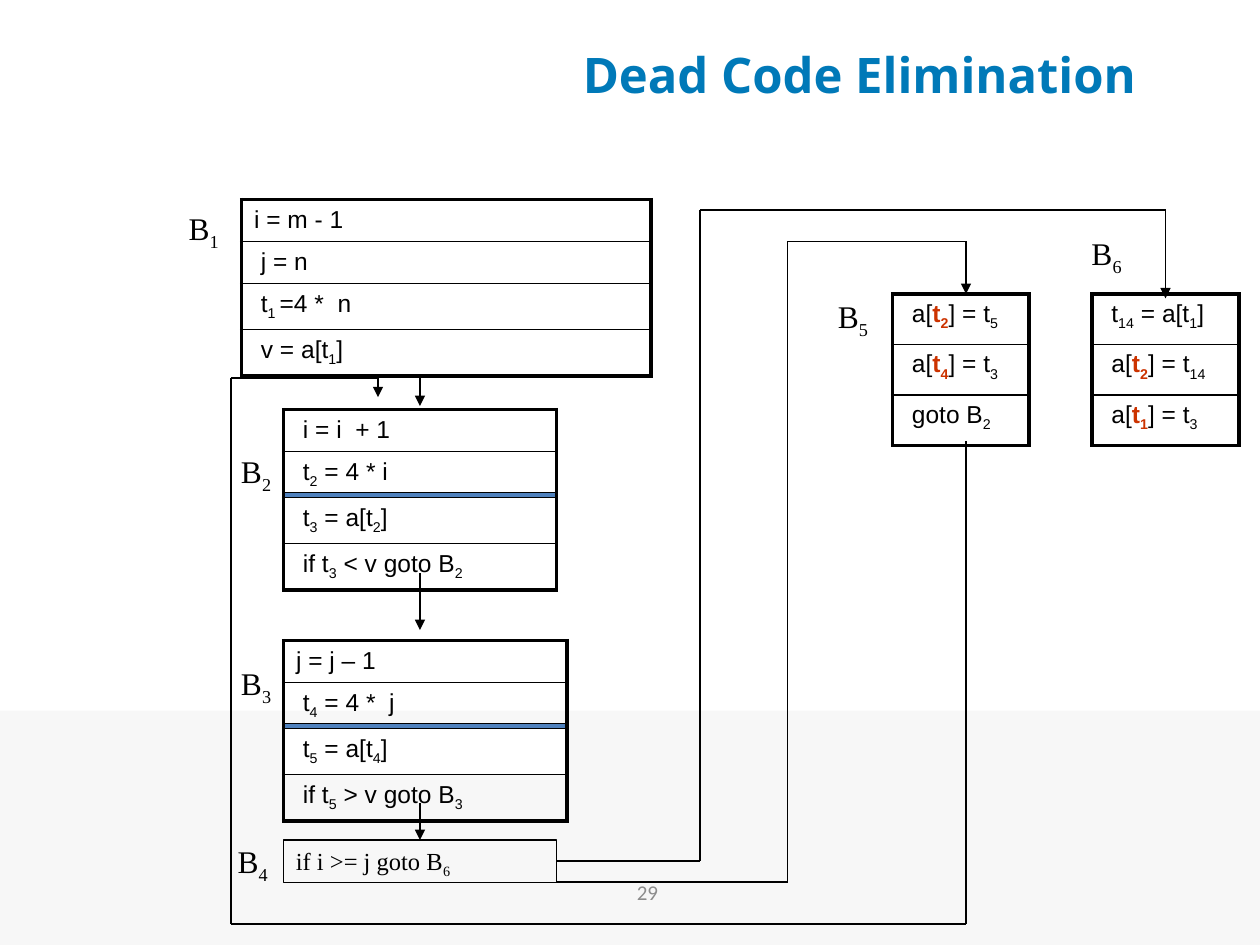
from dataclasses import dataclass
from typing import Optional

from lxml import etree
from pptx import Presentation
from pptx.dml.color import RGBColor
from pptx.enum.shapes import MSO_CONNECTOR, MSO_SHAPE
from pptx.enum.text import MSO_ANCHOR, PP_ALIGN
from pptx.oxml.ns import qn
from pptx.util import Pt

BLACK = RGBColor(0x00, 0x00, 0x00)
WHITE = RGBColor(0xFF, 0xFF, 0xFF)
BAND_GREY = RGBColor(0xF7, 0xF7, 0xF7)
NUMBER_GREY = RGBColor(0x8C, 0x8C, 0x8C)
TITLE_BLUE = RGBColor(0x00, 0x79, 0xB8)
ROW_BLUE = RGBColor(0x4F, 0x81, 0xBD)
DEAD_RED = RGBColor(0xCC, 0x33, 0x00)
RECTANGLE = MSO_SHAPE.RECTANGLE
STRAIGHT = MSO_CONNECTOR.STRAIGHT
LEFT, CENTER, RIGHT = PP_ALIGN.LEFT, PP_ALIGN.CENTER, PP_ALIGN.RIGHT
TOP, MIDDLE = MSO_ANCHOR.TOP, MSO_ANCHOR.MIDDLE
THICK, THIN, FLOW = 2.25, 1, 0.75


@dataclass
class Block:
    """Basic block; in the code, ~ encloses subscripts and ^ marked variables."""
    left: float
    top: float
    width: float
    heights: list[float]
    code: list[str]
    white_row: Optional[int] = None


@dataclass
class Label:
    number: int
    left: float
    top: float


@dataclass
class Route:
    points: list[tuple[float, float]]
    arrow: bool = True


BLOCKS = [
    Block(138, 114, 234, [23, 23, 25, 25],
          ["i = m - 1", " j = n", " t~1 ~=4 *  n", " v = a[t~1~]"]),
    Block(162, 234, 156, [23, 25, 25, 25],
          [" i = i  + 1", " t~2~ = 4 * i", " t~3~ = a[t~2~]",
           " if t~3~ < v goto B~2~"], white_row=2),
    Block(162, 366, 162, [23.8, 25, 25, 25],
          ["j = j – 1", " t~4~ = 4 *  j", " t~5~ = a[t~4~]",
           " if t~5~ > v goto B~3~"], white_row=2),
    Block(510, 168, 78, [28.8] * 3,
          [" a[^t~2~^] = t~5~", " a[^t~4~^] = t~3~", " goto B~2~"]),
    Block(624, 168, 84, [28.8] * 3,
          [" t~14~ = a[t~1~]", " a[^t~2~^] = t~14~", " a[^t~1~^] = t~3~"]),
]

LABELS = [
    Label(1, 72, 116), Label(2, 102, 255), Label(3, 102, 376),
    Label(4, 100, 477.5), Label(5, 443, 166), Label(6, 588, 130),
]

ROUTES = [
    Route([(240, 216), (240, 232)]),                                 # B1 to B2
    Route([(240, 327.6), (240, 360)]),                               # B2 to B3
    Route([(240, 458.6), (240, 480)]),                               # B3 to B4
    Route([(318, 492), (400, 492), (400, 120), (666, 120), (666, 170.5)]),  # B4 to B6
    Route([(318, 504), (450, 504), (450, 138), (552, 138), (552, 168)]),  # B4 to B5
    Route([(552, 252), (552, 528), (132, 528), (132, 216), (216, 216), (216, 227)]),
]


def write(frame, text: str, size: float, font: str, color: RGBColor = BLACK,
          align=LEFT, bold: bool = False) -> None:
    paragraph = frame.paragraphs[0]
    paragraph.alignment = align
    paragraph.font.size = Pt(size)
    paragraph.font.name = font
    paragraph.font.bold = bold
    paragraph.font.color.rgb = color
    for i, marked in enumerate(text.split("^")):
        for j, piece in enumerate(marked.split("~")):
            if not piece:
                continue
            run = paragraph.add_run()
            run.text = piece
            if i % 2:
                run.font.bold = True
                run.font.color.rgb = DEAD_RED
            if j % 2:
                run.font._element.set("baseline", "-25000")


def add_text(slide, box: tuple[float, float, float, float], text: str, size: float,
             font: str, color: RGBColor = BLACK, align=CENTER, anchor=MIDDLE,
             bold: bool = False) -> None:
    frame = slide.shapes.add_textbox(*map(Pt, box)).text_frame
    frame.word_wrap = True
    frame.vertical_anchor = anchor
    write(frame, text, size, font, color, align, bold)


def add_rect(slide, box: tuple[float, float, float, float],
             fill: Optional[RGBColor] = None, outlined: bool = True):
    rect = slide.shapes.add_shape(RECTANGLE, *map(Pt, box))
    rect.shadow.inherit = False
    if fill is None:
        rect.fill.background()
    else:
        rect.fill.solid()
        rect.fill.fore_color.rgb = fill
    if outlined:
        rect.line.color.rgb = BLACK
        rect.line.width = Pt(FLOW)
    else:
        rect.line.fill.background()
    return rect


def set_borders(cell, top: float, bottom: float) -> None:
    properties = cell._tc.get_or_add_tcPr()
    for side, width in (("L", THICK), ("R", THICK), ("T", top), ("B", bottom)):
        line = etree.SubElement(properties, qn(f"a:ln{side}"), w=str(Pt(width)))
        fill = etree.SubElement(line, qn("a:solidFill"))
        etree.SubElement(fill, qn("a:srgbClr"), val=str(BLACK))


def add_block(slide, block: Block) -> None:
    count = len(block.code)
    table = slide.shapes.add_table(count, 1, Pt(block.left), Pt(block.top),
                                   Pt(block.width), Pt(sum(block.heights))).table
    table.first_row = table.horz_banding = False
    for i, (height, code) in enumerate(zip(block.heights, block.code)):
        table.rows[i].height = Pt(height)
        cell = table.cell(i, 0)
        set_borders(cell, THICK if i == 0 else THIN,
                    THICK if i == count - 1 else THIN)
        if i == block.white_row:
            cell.fill.solid()
            cell.fill.fore_color.rgb = WHITE
        else:
            cell.fill.background()
        write(cell.text_frame, code, 14, "Arial")


def add_route(slide, route: Route) -> None:
    for start, end in zip(route.points, route.points[1:]):
        segment = slide.shapes.add_connector(STRAIGHT, *map(Pt, start + end))
        segment.line.color.rgb = BLACK
        segment.line.width = Pt(FLOW)
        etree.SubElement(segment._element.spPr, qn("a:effectLst"))
        if route.arrow and end == route.points[-1]:
            etree.SubElement(segment.line._get_or_add_ln(), qn("a:tailEnd"),
                             type="triangle")


def main() -> None:
    deck = Presentation()
    deck.slide_width, deck.slide_height = Pt(720), Pt(540)
    slide = deck.slides.add_slide(deck.slide_layouts[6])

    # Footer band, page number and title
    add_rect(slide, (0, 406, 720, 134), BAND_GREY, outlined=False)
    add_text(slide, (256, 491, 228, 37.5), "29", 12, "Calibri", NUMBER_GREY)
    add_text(slide, (276, 18, 430, 48), "Dead Code Elimination", 28, "Open Sans",
             TITLE_BLUE, bold=True)

    # Highlights under the third rows of B3 and B2
    add_rect(slide, (162, 413.5, 162, 24), ROW_BLUE)
    add_rect(slide, (162, 281.5, 156, 24), ROW_BLUE)

    # Basic blocks
    for block in BLOCKS:
        add_block(slide, block)
    branch = add_rect(slide, (162, 480, 156, 24.5)).text_frame
    branch.word_wrap = True
    branch.vertical_anchor = TOP
    write(branch, "if i >= j goto B~6~", 14, "Times New Roman")

    # Control flow and block labels
    for route in ROUTES:
        add_route(slide, route)
    for label in LABELS:
        add_text(slide, (label.left, label.top, 60, 29), f"B~{label.number}~", 18,
                 "Times New Roman", align=RIGHT, anchor=TOP)

    deck.save("out.pptx")


if __name__ == "__main__":
    main()
